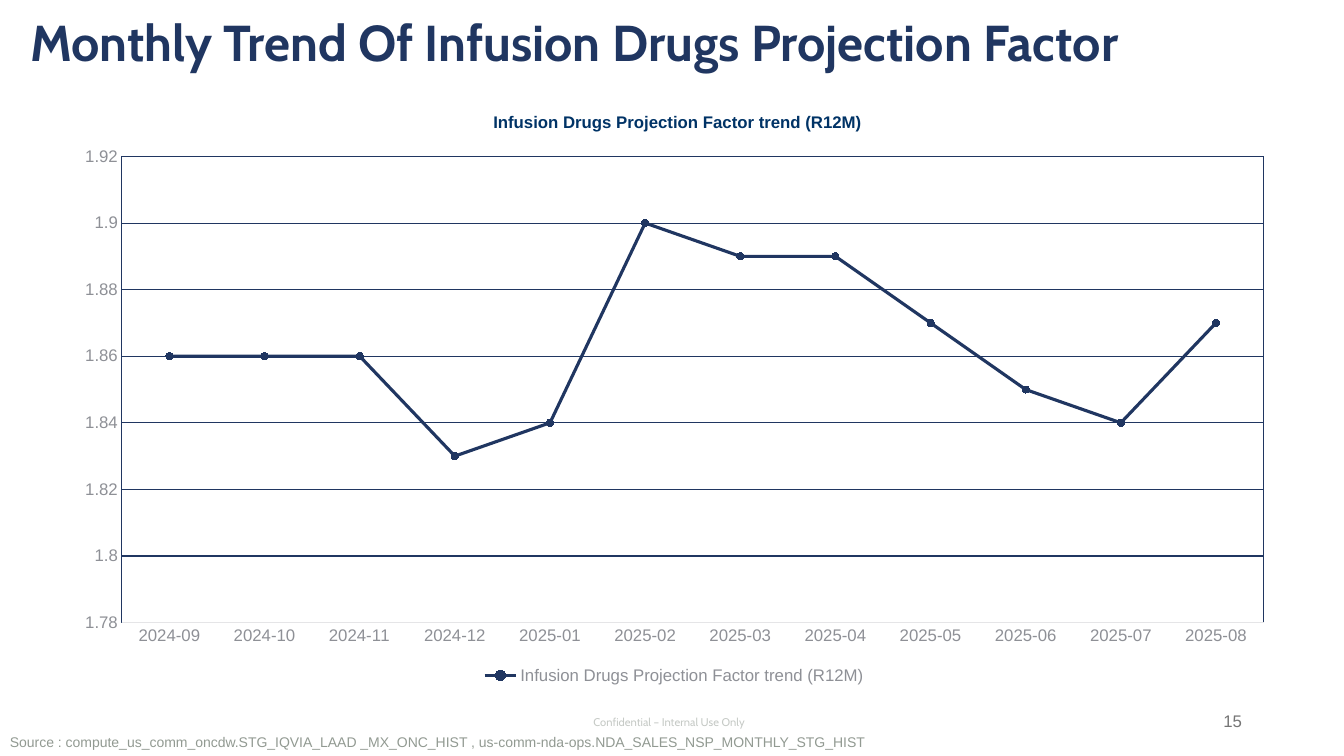
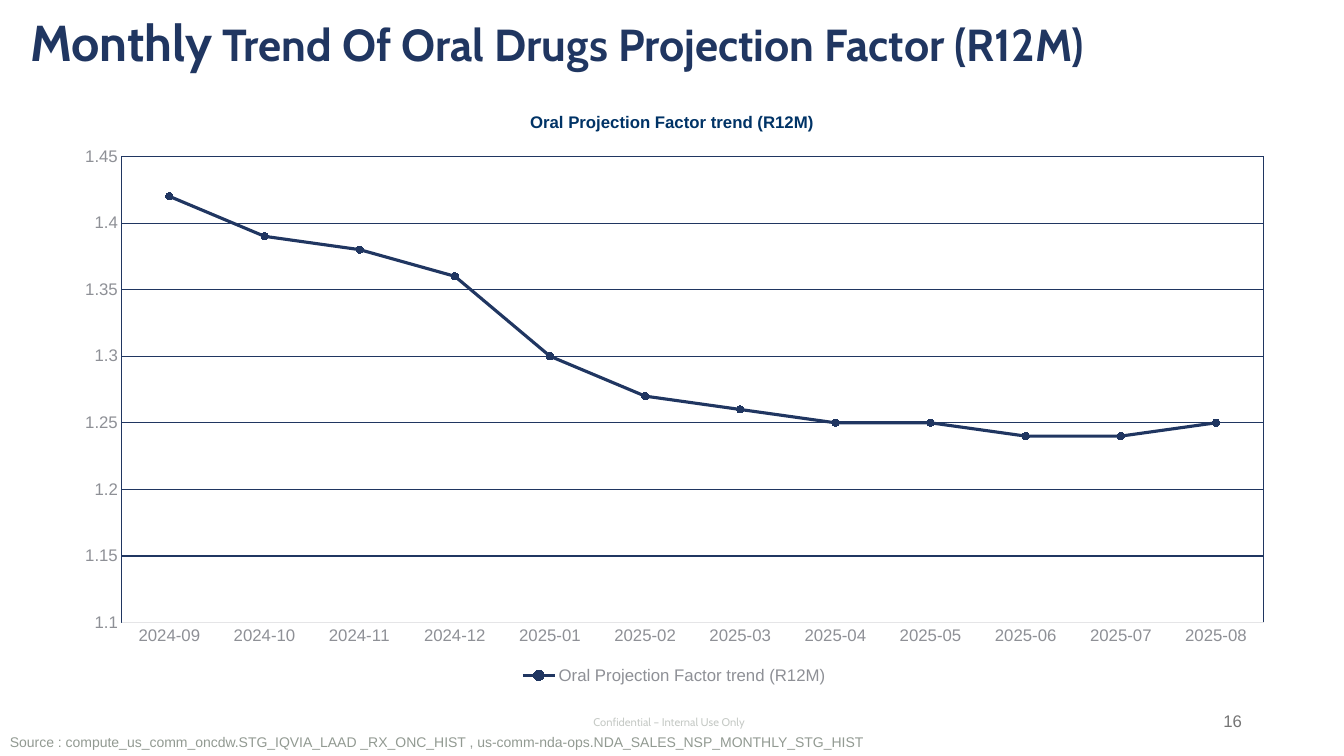
import pptx
import pptx.chart.data
import pptx.dml.color
import pptx.enum.chart
import pptx.enum.text
import pptx.oxml.ns
import pptx.util
from lxml import etree

COLUMNS, ROWS = 40, 30
NAVY, TITLE_BLUE, AXIS_GREY, AXIS_LINE = "203661", "003366", "8E9096", "E5E5E7"
PAGE_GREY, FOOTER_GREY, SOURCE_GREY = "757575", "C6CAC6", "929A92"
BODY_FONT, HEADING_FONT = "Arial", "Cabin"
ALIGN = pptx.enum.text.PP_ALIGN
ANCHOR = pptx.enum.text.MSO_ANCHOR
qn = pptx.oxml.ns.qn

MONTHS = [f"2024-{month:02}" for month in range(9, 13)]
MONTHS += [f"2025-{month:02}" for month in range(1, 9)]

TRENDS = [
    dict(
        page=15,
        heading=[("Monthly Trend Of Infusion Drugs Projection Factor", 36)],
        measure="Infusion Drugs Projection Factor trend (R12M)",
        factors=[1.86, 1.86, 1.86, 1.83, 1.84, 1.9, 1.89, 1.89, 1.87, 1.85, 1.84, 1.87],
        scale=(1.78, 1.92, 0.02),
        caption_left=0.35,
        history="MX",
    ),
    dict(
        page=16,
        heading=[("Monthly", 36), (" Trend Of Oral Drugs Projection Factor (R12M)", 32)],
        measure="Oral Projection Factor trend (R12M)",
        factors=[1.42, 1.39, 1.38, 1.36, 1.3, 1.27, 1.26, 1.25, 1.25, 1.24, 1.24, 1.25],
        scale=(1.1, 1.45, 0.05),
        caption_left=0.38,
        history="RX",
    ),
]


def rgb(hex_string):
    return pptx.dml.color.RGBColor.from_string(hex_string)


def assign(target, values):
    for name, value in values.items():
        setattr(target, name, value)


def style_font(font, size, color, name=BODY_FONT, bold=False):
    assign(font, dict(size=pptx.util.Pt(size), name=name, bold=bold))
    font.color.rgb = rgb(color)


def style_line(line, color, width):
    line.color.rgb = rgb(color)
    line.width = pptx.util.Pt(width)


def set_layout(parent, index, **shares):
    """Pin a chart part at shares of the chart's size."""
    for automatic in parent.findall(qn("c:layout")):
        parent.remove(automatic)
    layout = etree.Element(qn("c:layout"))
    manual = etree.SubElement(layout, qn("c:manualLayout"))
    settings = dict(xMode="edge", yMode="edge", **shares)
    if "w" in shares:
        settings = dict(layoutTarget="inner", **settings)
    for tag, value in settings.items():
        etree.SubElement(manual, qn(f"c:{tag}")).set("val", str(value))
    parent.insert(index, layout)


def outline_plot(plot_area, color, width):
    properties = etree.SubElement(plot_area, qn("c:spPr"))
    etree.SubElement(properties, qn("a:noFill"))
    border = etree.SubElement(properties, qn("a:ln"), w=str(pptx.util.Pt(width)))
    fill = etree.SubElement(border, qn("a:solidFill"))
    etree.SubElement(fill, qn("a:srgbClr"), val=color)


class TrendDeck:
    def __init__(self):
        self.presentation = pptx.Presentation()
        self.presentation.slide_width = pptx.util.Inches(13.33)
        self.presentation.slide_height = pptx.util.Inches(7.5)
        self.slide = None

    def cells(self, left, top, width, height):
        """Turn grid columns and rows into lengths."""
        column = self.presentation.slide_width / COLUMNS
        row = self.presentation.slide_height / ROWS
        return [int(n * unit) for n, unit in
                zip((left, top, width, height), (column, row, column, row))]

    def start_slide(self):
        layout = self.presentation.slide_layouts[5]
        self.slide = self.presentation.slides.add_slide(layout)

    def heading(self, pieces):
        title = self.slide.shapes.title
        places = self.cells(0.6, 0.24, 38.85, 2.84)
        assign(title, dict(zip(("left", "top", "width", "height"), places)))
        frame = title.text_frame
        assign(frame, dict(word_wrap=True, vertical_anchor=ANCHOR.TOP,
                           auto_size=pptx.enum.text.MSO_AUTO_SIZE.NONE))
        paragraph = frame.paragraphs[0]
        paragraph.alignment = ALIGN.LEFT
        for words, size in pieces:
            run = paragraph.add_run()
            run.text = words
            style_font(run.font, size, NAVY, HEADING_FONT, bold=True)

    def note(self, words, place, size, color, font=BODY_FONT,
             align=ALIGN.LEFT, anchor=ANCHOR.MIDDLE, wrap=True):
        frame = self.slide.shapes.add_textbox(*self.cells(*place)).text_frame
        assign(frame, dict(word_wrap=wrap, vertical_anchor=anchor))
        paragraph = frame.paragraphs[0]
        paragraph.alignment = align
        run = paragraph.add_run()
        run.text = words
        style_font(run.font, size, color, font)

    def footer(self, page, source):
        self.note("Confidential – Internal Use Only", (15.42, 28, 9, 1.28), 8,
                  FOOTER_GREY, HEADING_FONT, ALIGN.CENTER)
        self.note(str(page), (28.26, 27.8, 9, 1.6), 12, PAGE_GREY, align=ALIGN.RIGHT)
        self.note(source, (0, 28.92, 26.34, 1.08), 10, SOURCE_GREY,
                  anchor=ANCHOR.TOP, wrap=False)

    def trend_chart(self, measure, factors, scale, caption_left):
        kinds = pptx.enum.chart
        data = pptx.chart.data.CategoryChartData()
        data.categories = MONTHS
        data.add_series(measure, factors)
        chart = self.slide.shapes.add_chart(
            kinds.XL_CHART_TYPE.LINE_MARKERS, *self.cells(1.8, 3.6, 36.54, 23.72), data).chart
        style_font(chart.font, 10, "54565B")

        chart.has_title = True
        caption = chart.chart_title.text_frame
        caption.text = measure
        style_font(caption.paragraphs[0].runs[0].font, 12, TITLE_BLUE, bold=True)
        set_layout(chart.chart_title.element, 1, x=caption_left, y=0.03)

        chart.has_legend = True
        assign(chart.legend, dict(position=kinds.XL_LEGEND_POSITION.BOTTOM,
                                  include_in_layout=False))
        style_font(chart.legend.font, 12, AXIS_GREY)

        months, values = chart.category_axis, chart.value_axis
        for axis in (months, values):
            assign(axis, dict(major_tick_mark=kinds.XL_TICK_MARK.NONE,
                              minor_tick_mark=kinds.XL_TICK_MARK.NONE))
            style_font(axis.tick_labels.font, 12, AXIS_GREY)
        style_line(months.format.line, AXIS_LINE, 0.75)
        values.format.line.fill.background()
        assign(values, dict(zip(("minimum_scale", "maximum_scale", "major_unit"), scale)))
        values.has_major_gridlines = True
        style_line(values.major_gridlines.format.line, NAVY, 0.75)

        plot = chart.plots[0]
        plot.vary_by_categories = False
        trend = plot.series[0]
        trend.smooth = False
        style_line(trend.format.line, NAVY, 2.25)
        assign(trend.marker, dict(style=kinds.XL_MARKER_STYLE.CIRCLE, size=5))
        trend.marker.format.fill.solid()
        trend.marker.format.fill.fore_color.rgb = rgb(NAVY)
        style_line(trend.marker.format.line, NAVY, 0.75)

        plot_area = chart.element.find(".//" + qn("c:plotArea"))
        set_layout(plot_area, 0, x=0.05, y=0.11, w=0.93, h=0.78)
        outline_plot(plot_area, NAVY, 0.75)


def main():
    deck = TrendDeck()
    for trend in TRENDS:
        deck.start_slide()
        deck.heading(trend["heading"])
        deck.footer(trend["page"],
                    f"Source : compute_us_comm_oncdw.STG_IQVIA_LAAD _{trend['history']}_ONC_HIST , "
                    "us-comm-nda-ops.NDA_SALES_NSP_MONTHLY_STG_HIST")
        deck.trend_chart(trend["measure"], trend["factors"],
                         trend["scale"], trend["caption_left"])
    deck.presentation.save("out.pptx")


if __name__ == "__main__":
    main()
